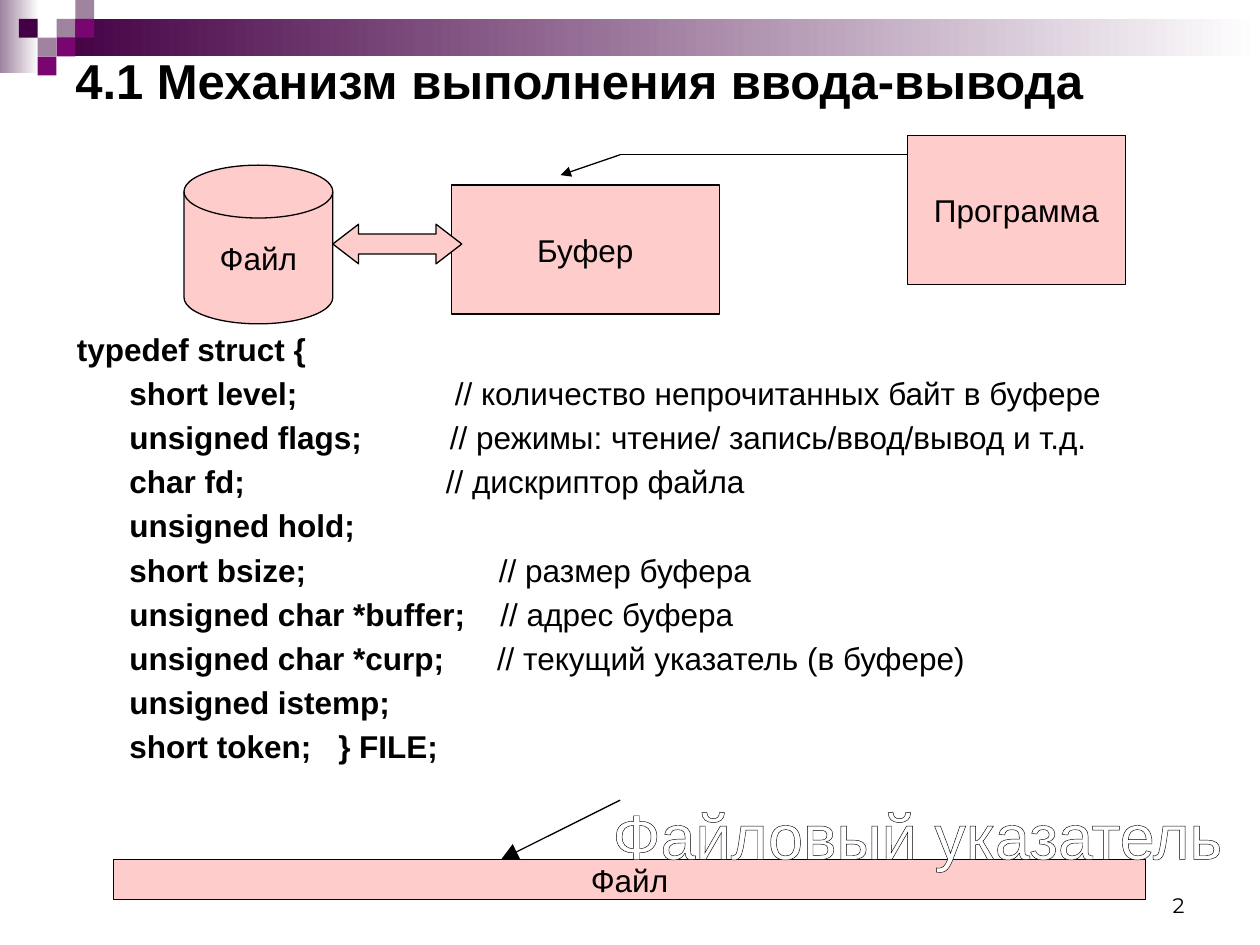
from lxml.etree import SubElement
from pptx import Presentation
from pptx.dml.color import RGBColor
from pptx.enum.shapes import MSO_CONNECTOR as Link, MSO_SHAPE as Form
from pptx.enum.text import MSO_ANCHOR as Anchor, PP_ALIGN as Align
from pptx.oxml.ns import qn
from pptx.util import Cm, Pt

BLACK = RGBColor(0x00, 0x00, 0x00)
WHITE = RGBColor(0xFF, 0xFF, 0xFF)
PINK = RGBColor(0xFF, 0xCC, 0xCC)
PLUM = RGBColor(0x44, 0x00, 0x44)
MAUVE = RGBColor(0x9F, 0x83, 0x9F)
MAGENTA = RGBColor(0x79, 0x05, 0x71)

TILE = 0.38
TILES = [(3, 1, MAUVE), (4, 0, MAUVE), (4, 1, MAGENTA), (2, 2, MAUVE),
         (1, 1, PLUM), (3, 2, MAGENTA), (2, 3, MAGENTA)]

FIELD_INDENT = 1.06
FIELDS = [
    ("short level;", 7.62, "// количество непрочитанных байт в буфере"),
    ("unsigned flags;", 7.52, "// режимы: чтение/ запись/ввод/вывод и т.д."),
    ("char fd;", 7.44, "// дискриптор файла"),
    ("unsigned hold;", None, ""),
    ("short bsize;", 8.51, "// размер буфера"),
    ("unsigned char *buffer;", 8.54, "// адрес буфера"),
    ("unsigned char *curp;", 8.47, "// текущий указатель (в буфере)"),
    ("unsigned istemp;", None, ""),
]


class Painter:
    font = "Arial"
    size = 18
    line_width = Pt(0.75)

    def __init__(self, page):
        self.page = page

    def span(self, para, text, size=None, bold=False, color=BLACK, font=None):
        span = para.add_run()
        span.text = text
        span.font.name = font or self.font
        span.font.size = Pt(size or self.size)
        span.font.bold = bold
        span.font.color.rgb = color
        return span

    def shape(self, form, left, top, width, height):
        shape = self.page.shapes.add_shape(
            form, Cm(left), Cm(top), Cm(width), Cm(height))
        shape.shadow.inherit = False
        return shape

    def tile(self, column, row, color):
        tile = self.shape(Form.RECTANGLE, column * TILE, row * TILE, TILE, TILE)
        tile.fill.solid()
        tile.fill.fore_color.rgb = color
        tile.line.fill.background()

    def fade(self, left, top, width, height, color):
        band = self.shape(Form.RECTANGLE, left, top, width, height)
        band.fill.gradient()
        band.fill.gradient_angle = 0
        for stop, shade, position in zip(band.fill.gradient_stops, (color, WHITE), (0, 1)):
            stop.color.rgb = shade
            stop.position = position
        band.line.fill.background()

    def block(self, form, left, top, width, height, label=""):
        block = self.shape(form, left, top, width, height)
        block.fill.solid()
        block.fill.fore_color.rgb = PINK
        block.line.color.rgb = BLACK
        block.line.width = self.line_width
        if label:
            frame = block.text_frame
            frame.word_wrap = False
            frame.vertical_anchor = Anchor.MIDDLE
            para = frame.paragraphs[0]
            para.alignment = Align.CENTER
            self.span(para, label)
        return block

    def box(self, left, top, width, height, anchor=Anchor.TOP, wrap=True):
        box = self.page.shapes.add_textbox(Cm(left), Cm(top), Cm(width), Cm(height))
        box.text_frame.word_wrap = wrap
        box.text_frame.vertical_anchor = anchor
        return box.text_frame

    def tabs(self, para, *stops):
        tab_list = SubElement(para._p.get_or_add_pPr(), qn("a:tabLst"))
        for stop in stops:
            SubElement(tab_list, qn("a:tab"), pos=str(Cm(stop)), algn="l")

    def outline(self, span):
        properties = span.font._element
        line = SubElement(properties, qn("a:ln"), w=str(self.line_width))
        fill = SubElement(line, qn("a:solidFill"))
        SubElement(fill, qn("a:srgbClr"), val=str(BLACK))
        properties.insert(0, line)

    def line(self, start, end, head=None):
        line = self.page.shapes.add_connector(
            Link.STRAIGHT, *(Cm(value) for value in start + end))
        line.line.color.rgb = BLACK
        line.line.width = self.line_width
        if head:
            SubElement(line.line._get_or_add_ln(), qn("a:tailEnd"),
                       type="triangle", w=head, len=head)
        SubElement(line._element.spPr, qn("a:effectLst"))


def draw_header(painter):
    painter.fade(0, 0, 0.79, 1.47, MAUVE)
    painter.fade(1.14, 0.38, 24.26, 0.76, PLUM)
    for column, row, color in TILES:
        painter.tile(column, row, color)
    number = painter.box(18.21, 17.35, 5.92, 1.27, Anchor.BOTTOM).paragraphs[0]
    number.alignment = Align.RIGHT
    painter.span(number, "2", size=12, font="Montserrat")
    title = painter.box(1.27, 0.91, 22.86, 1.4, Anchor.MIDDLE).paragraphs[0]
    painter.span(title, "4.1 Механизм выполнения ввода-вывода", size=28, bold=True)


def draw_struct(painter):
    frame = painter.box(1.3, 6.53, 22.86, 9.4)
    painter.span(frame.paragraphs[0], "typedef struct {", bold=True)
    for code, stop, comment in FIELDS:
        para = frame.add_paragraph()
        painter.span(para, "\t" + code, bold=True)
        if comment:
            painter.tabs(para, FIELD_INDENT, stop)
            painter.span(para, "\t" + comment)
        else:
            painter.tabs(para, FIELD_INDENT)
    closing = frame.add_paragraph()
    painter.tabs(closing, FIELD_INDENT, 5.27)
    painter.span(closing, "\tshort token;\t} FILE;", bold=True)
    for para in frame.paragraphs:
        para.space_before = Pt(3.6)


def draw_scheme(painter):
    painter.block(Form.FLOWCHART_MAGNETIC_DISK, 3.71, 3.33, 3, 3.2, "Файл")
    painter.block(Form.RECTANGLE, 9.1, 3.73, 5.4, 2.6, "Буфер")
    painter.block(Form.RECTANGLE, 18.29, 2.73, 4.4, 3, "Программа")
    exchange = painter.block(Form.LEFT_RIGHT_ARROW, 6.71, 4.52, 2.6, 0.8)
    exchange.adjustments[0] = 0.5
    exchange.adjustments[1] = 0.65
    bend = (12.5, 3.12)
    painter.line((18.29, 3.12), bend)
    painter.line(bend, (11.3, 3.53), head="med")
    painter.block(Form.RECTANGLE, 2.29, 17.33, 20.8, 0.8, "Файл")
    painter.line((12.5, 16.13), (10.1, 17.33), head="lg")
    caption = painter.box(12.1, 15.93, 12.8, 1.7, wrap=False)
    caption.margin_left = caption.margin_right = 0
    pointer = caption.paragraphs[0]
    pointer.alignment = Align.CENTER
    painter.outline(painter.span(pointer, "Файловый указатель", size=36, color=WHITE))


def main():
    deck = Presentation()
    deck.slide_width = Cm(25.4)
    deck.slide_height = Cm(19.05)
    painter = Painter(deck.slides.add_slide(deck.slide_layouts[6]))
    draw_header(painter)
    draw_struct(painter)
    draw_scheme(painter)
    deck.save("out.pptx")


if __name__ == "__main__":
    main()
